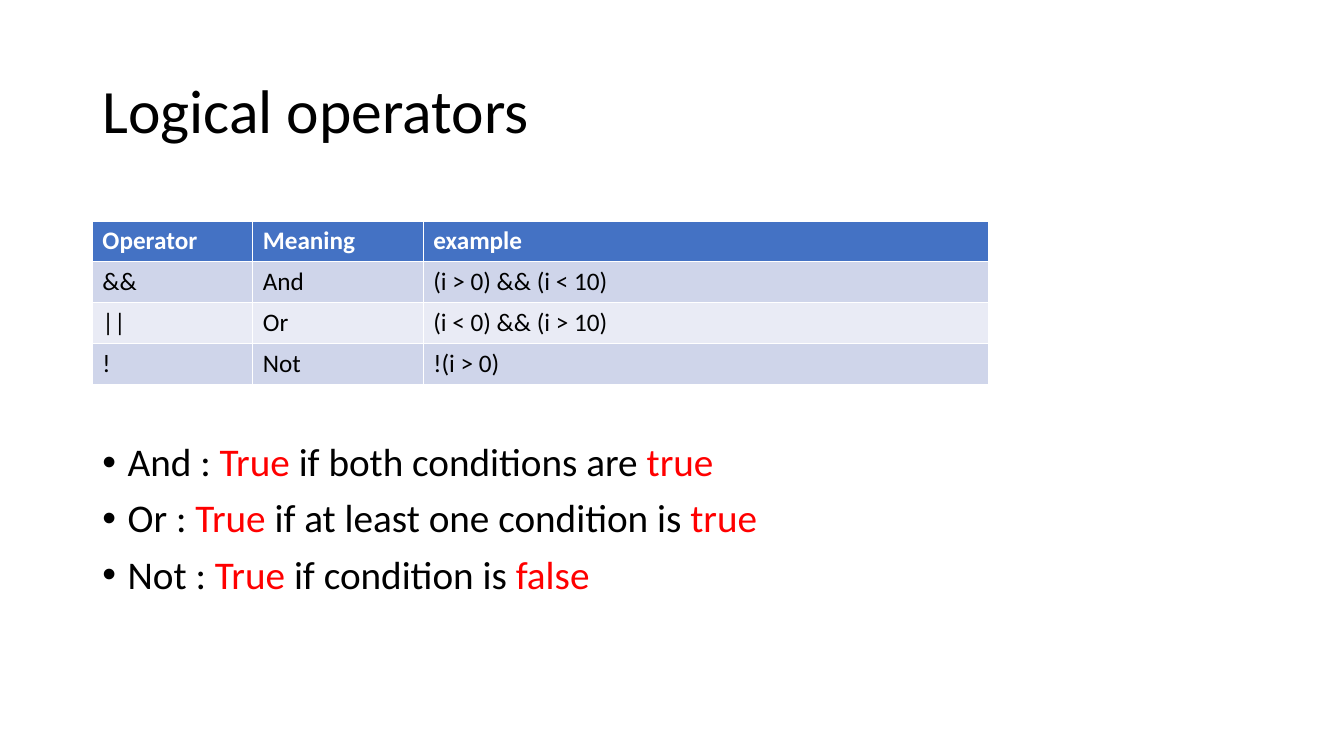
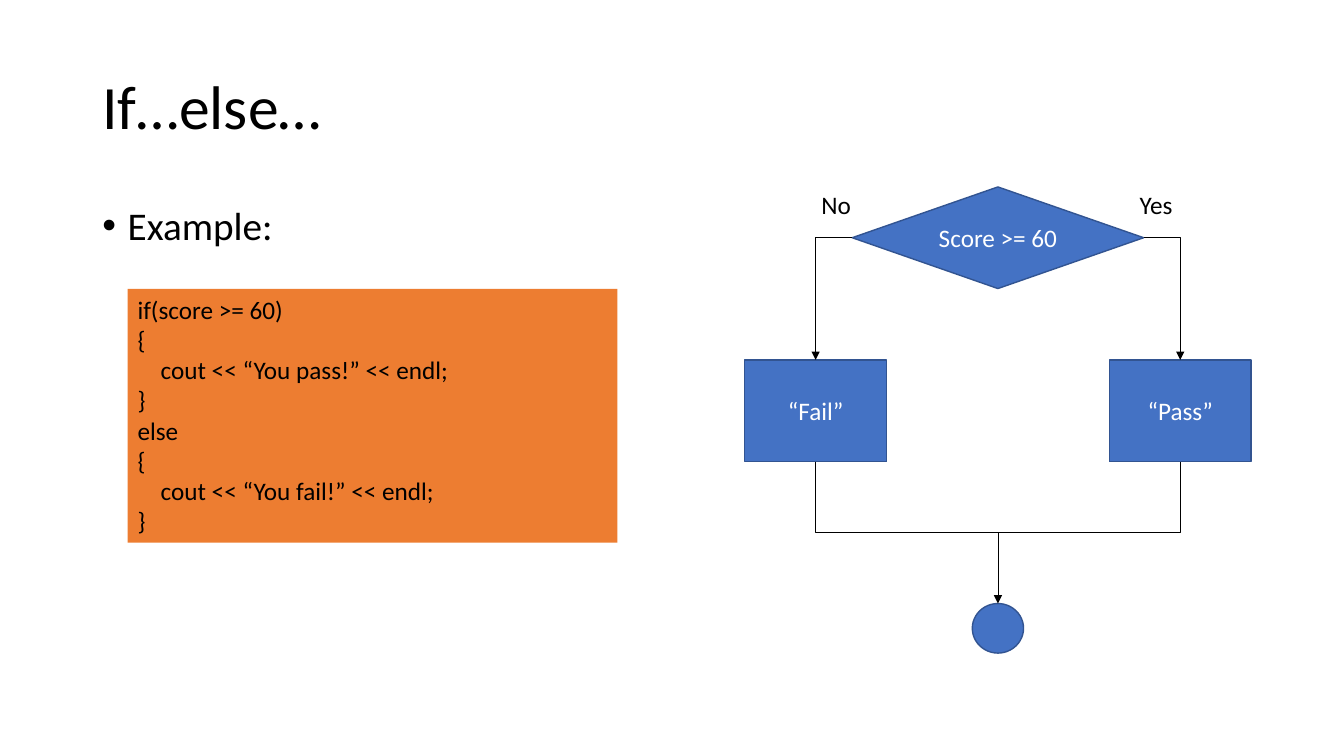
"""Build two slides on logical operators and if-else branching."""
from lxml.etree import SubElement
from pptx import Presentation
from pptx.dml.color import RGBColor
from pptx.enum.shapes import MSO_CONNECTOR as Line, MSO_SHAPE as Preset
from pptx.enum.text import MSO_ANCHOR as Anchor, MSO_AUTO_SIZE as Fit, PP_ALIGN as Align
from pptx.oxml.ns import qn
from pptx.util import Inches, Pt

BLACK = RGBColor(0x00, 0x00, 0x00)
WHITE = RGBColor(0xFF, 0xFF, 0xFF)
RED = RGBColor(0xFF, 0x00, 0x00)
BLUE = RGBColor(0x44, 0x72, 0xC4)
DARK_BLUE = RGBColor(0x32, 0x54, 0x91)
ORANGE = RGBColor(0xED, 0x7D, 0x31)
BANDS = (RGBColor(0xE9, 0xEB, 0xF5), RGBColor(0xCF, 0xD5, 0xEA))

COLUMNS, ROWS = 160, 90
MARGIN, CONTENT_WIDTH = 11, 138
TITLE_FONT = {"name": "Calibri", "size": Pt(44)}
LIST_FONT = {"name": "Calibri", "size": Pt(28)}
TEXT_FONT = {"name": "Calibri", "size": Pt(18)}
HEADER_FONT = TEXT_FONT | {"bold": True}
CELL_FONT = TEXT_FONT | {"bold": False}
TITLE_PARAGRAPH = {"alignment": Align.LEFT, "line_spacing": 0.9}
LIST_PARAGRAPH = {"line_spacing": 0.9, "space_before": Pt(10)}


def set_format(target, values):
    for name, value in values.items():
        setattr(target, name, value)


def indent(paragraph, left, first=0):
    properties = paragraph._p.get_or_add_pPr()
    properties.set("marL", str(Inches(left)))
    properties.set("indent", str(Inches(first)))


def add_run(paragraph, text, font, color=BLACK):
    run = paragraph.add_run()
    run.text = text
    set_format(run.font, font)
    run.font.color.rgb = color


class Deck:
    """Hold the shared style and the slide being filled."""

    def __init__(self):
        self.presentation = Presentation()
        set_format(self.presentation, {"slide_width": Inches(13.333), "slide_height": Inches(7.5)})
        self.column = self.presentation.slide_width / COLUMNS
        self.row = self.presentation.slide_height / ROWS
        self.slide = None

    def place(self, left, top, width, height):
        return (round(left * self.column), round(top * self.row),
                round(width * self.column), round(height * self.row))

    def move(self, shape, *box):
        set_format(shape, dict(zip(("left", "top", "width", "height"), self.place(*box))))

    def new_slide(self, title, top):
        self.slide = self.presentation.slides.add_slide(self.presentation.slide_layouts[1])
        shape = self.slide.shapes.title
        self.move(shape, MARGIN, top, CONTENT_WIDTH, 17.4)
        set_format(shape.text_frame, {"vertical_anchor": Anchor.MIDDLE, "auto_size": Fit.NONE})
        paragraph = shape.text_frame.paragraphs[0]
        set_format(paragraph, TITLE_PARAGRAPH)
        add_run(paragraph, title, TITLE_FONT)

    def bullets(self, items, top, height):
        body = self.slide.placeholders[1]
        self.move(body, MARGIN, top, CONTENT_WIDTH, height)
        frame = body.text_frame
        frame.auto_size = Fit.NONE
        for index, parts in enumerate(items):
            paragraph = frame.add_paragraph() if index else frame.paragraphs[0]
            set_format(paragraph, LIST_PARAGRAPH)
            indent(paragraph, 0.25, -0.25)
            for position, text in enumerate(parts):
                add_run(paragraph, text, LIST_FONT, RED if position % 2 else BLACK)

    def table(self, rows, widths, top, row_height):
        box = self.place(MARGIN, top, sum(widths), row_height * len(rows))
        table = self.slide.shapes.add_table(len(rows), len(widths), *box).table
        for column, width in zip(table.columns, widths):
            column.width = round(width * self.column)
        for index, texts in enumerate(rows):
            for cell, text in zip(table.rows[index].cells, texts):
                cell.fill.solid()
                cell.fill.fore_color.rgb = BANDS[index % 2] if index else BLUE
                add_run(cell.text_frame.paragraphs[0], text,
                        CELL_FONT if index else HEADER_FONT, BLACK if index else WHITE)

    def text(self, lines, box, fill=None):
        shape = self.slide.shapes.add_textbox(*self.place(*box))
        frame = shape.text_frame
        set_format(frame, {"word_wrap": True, "auto_size": Fit.SHAPE_TO_FIT_TEXT})
        if fill is not None:
            shape.fill.solid()
            shape.fill.fore_color.rgb = fill
        for index, line in enumerate(lines):
            paragraph = frame.add_paragraph() if index else frame.paragraphs[0]
            if line.startswith("cout"):
                indent(paragraph, 0.23)
            add_run(paragraph, line, TEXT_FONT)

    def node(self, preset, center, size, text=""):
        (x, y), (width, height) = center, size
        box = self.place(x - width / 2, y - height / 2, width, height)
        shape = self.slide.shapes.add_shape(preset, *box)
        shape.shadow.inherit = False
        shape.fill.solid()
        shape.fill.fore_color.rgb = BLUE
        shape.line.color.rgb = DARK_BLUE
        shape.line.width = Pt(1)
        if text:
            shape.text_frame.vertical_anchor = Anchor.MIDDLE
            paragraph = shape.text_frame.paragraphs[0]
            paragraph.alignment = Align.CENTER
            add_run(paragraph, text, TEXT_FONT, WHITE)

    def elbow(self, begin, end, preset="bentConnector2", rotation=0, arrow=True):
        points = self.place(*begin, *end)
        connector = self.slide.shapes.add_connector(Line.ELBOW, *points)
        connector.line.color.rgb = BLACK
        connector.line.width = Pt(0.5)
        properties = connector._element.spPr
        properties.find(qn("a:prstGeom")).set("prst", preset)
        properties.find(qn("a:xfrm")).set("rot", str(rotation * 60000))
        if arrow:
            SubElement(properties.find(qn("a:ln")), qn("a:tailEnd")).set("type", "triangle")
        SubElement(properties, qn("a:effectLst"))

    def falling_elbow(self, begin, end):
        x, y = (begin[0] + end[0]) / 2, (begin[1] + end[1]) / 2
        half_width, half_height = (end[1] - begin[1]) / 2, (end[0] - begin[0]) / 2
        self.elbow((x + half_width, y - half_height), (x - half_width, y + half_height),
                   "bentConnector3", 270)


def add_operators(deck):
    deck.new_slide("Logical operators", 4.8)
    deck.bullets([
        ("And : ", "True", " if both conditions are ", "true"),
        ("Or : ", "True", " if at least one condition is ", "true"),
        ("Not : ", "True", " if condition is ", "false"),
    ], 52.1, 28.9)
    deck.table([
        ("Operator", "Meaning", "example"),
        ("&&", "And", "(i > 0) && (i < 10)"),
        ("||", "Or", "(i < 0) && (i > 10)"),
        ("!", "Not", "!(i > 0)"),
    ], (19.1, 20.3, 67.3), 26.3, 4.87)


def add_branching(deck):
    deck.new_slide("If…else…", 4.3)
    deck.bullets([("Example:",)], 24, 57.1)
    deck.text(["if(score >= 60)", "{", "cout << “You pass!” << endl;", "}",
               "else", "{", "cout << “You fail!” << endl;", "}"],
              (15.2, 34.4, 58.3, 30.2), ORANGE)

    axis, branch = 118.8, 21.7
    test_y, result_y, end_y = 28.3, 48.9, 74.8
    test_size, result_size, end_size = (34.7, 12.1), (16.9, 12.1), (6.1, 5.9)
    result_top, result_bottom = (result_y + side * result_size[1] / 2 for side in (-1, 1))
    end_top = end_y - end_size[1] / 2
    merge = (axis, (result_bottom + end_top) / 2)

    deck.node(Preset.FLOWCHART_DECISION, (axis, test_y), test_size, "Score >= 60")
    for side, result in ((-1, "“Fail”"), (1, "“Pass”")):
        x = axis + side * branch
        deck.node(Preset.FLOWCHART_PROCESS, (x, result_y), result_size, result)
        deck.elbow((axis + side * test_size[0] / 2, test_y), (x, result_top))
    deck.node(Preset.FLOWCHART_CONNECTOR, (axis, end_y), end_size)
    deck.falling_elbow((axis - branch, result_bottom), (axis, end_top))
    deck.elbow(merge, (axis + branch, result_bottom), arrow=False)
    for label, left in (("No", 96.6), ("Yes", 134.5)):
        deck.text([label], (left, 22, 8, 4.8))


def main():
    deck = Deck()
    add_operators(deck)
    add_branching(deck)
    deck.presentation.save("out.pptx")


if __name__ == "__main__":
    main()
